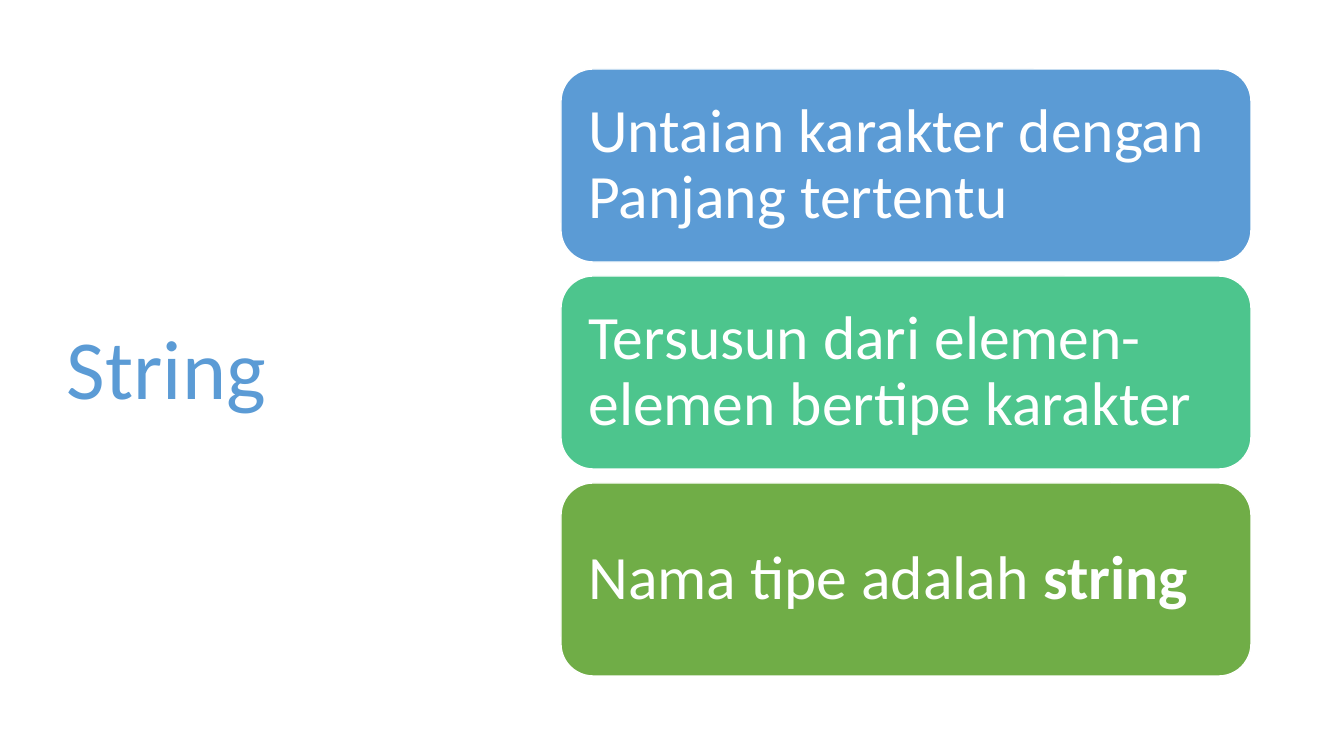
from pptx import Presentation
from pptx.dml.color import RGBColor
from pptx.enum.shapes import MSO_SHAPE
from pptx.enum.text import MSO_ANCHOR, PP_ALIGN
from pptx.util import Pt

TITLE = "String"
TITLE_COLOR = "5B9BD5"
CARDS = [
    ("5B9BD5", [("Untaian karakter dengan Panjang tertentu", False)]),
    ("4DC58D", [("Tersusun dari elemen-elemen bertipe karakter", False)]),
    ("70AD47", [("Nama tipe adalah ", False), ("string", True)]),
]
FONT = "Calibri"
WHITE = "FFFFFF"

SLIDE_W, SLIDE_H = 1344, 756
TOP = 69
TITLE_LEFT, TITLE_W, TITLE_H = 57, 419, 607
CARD_LEFT, CARD_W, CARD_H, CARD_GAP = 561, 690, 193, 14
TITLE_INSET, CARD_INSET = 10, 18


def px(n):
    return round(n * 914400 / 100.8)


def rgb(color):
    return RGBColor.from_string(color)


def write(sp, runs, size, color, inset):
    tf = sp.text_frame
    tf.word_wrap = True
    tf.vertical_anchor = MSO_ANCHOR.MIDDLE
    tf.margin_left = tf.margin_right = px(inset)
    tf.margin_top = tf.margin_bottom = px(inset)
    p = tf.paragraphs[0]
    p.alignment = PP_ALIGN.LEFT
    p.line_spacing = 0.9
    p.font.name = FONT
    p.font.size = Pt(size)
    p.font.color.rgb = rgb(color)
    for text, bold in runs:
        r = p.add_run()
        r.text = text
        if bold:
            r.font.bold = True


def add_card(s, top, color, runs):
    sp = s.shapes.add_shape(MSO_SHAPE.ROUNDED_RECTANGLE,
                            px(CARD_LEFT), px(top), px(CARD_W), px(CARD_H))
    sp.shadow.inherit = False
    sp.fill.solid()
    sp.fill.fore_color.rgb = rgb(color)
    sp.line.color.rgb = rgb(WHITE)
    sp.line.width = Pt(1)
    write(sp, runs, 44, WHITE, CARD_INSET)


def main():
    prs = Presentation()
    prs.slide_width, prs.slide_height = px(SLIDE_W), px(SLIDE_H)
    s = prs.slides.add_slide(prs.slide_layouts[6])
    title = s.shapes.add_textbox(px(TITLE_LEFT), px(TOP), px(TITLE_W), px(TITLE_H))
    write(title, [(TITLE, False)], 60, TITLE_COLOR, TITLE_INSET)
    for i, (color, runs) in enumerate(CARDS):
        add_card(s, TOP + i * (CARD_H + CARD_GAP), color, runs)
    prs.save("out.pptx")


if __name__ == "__main__":
    main()
